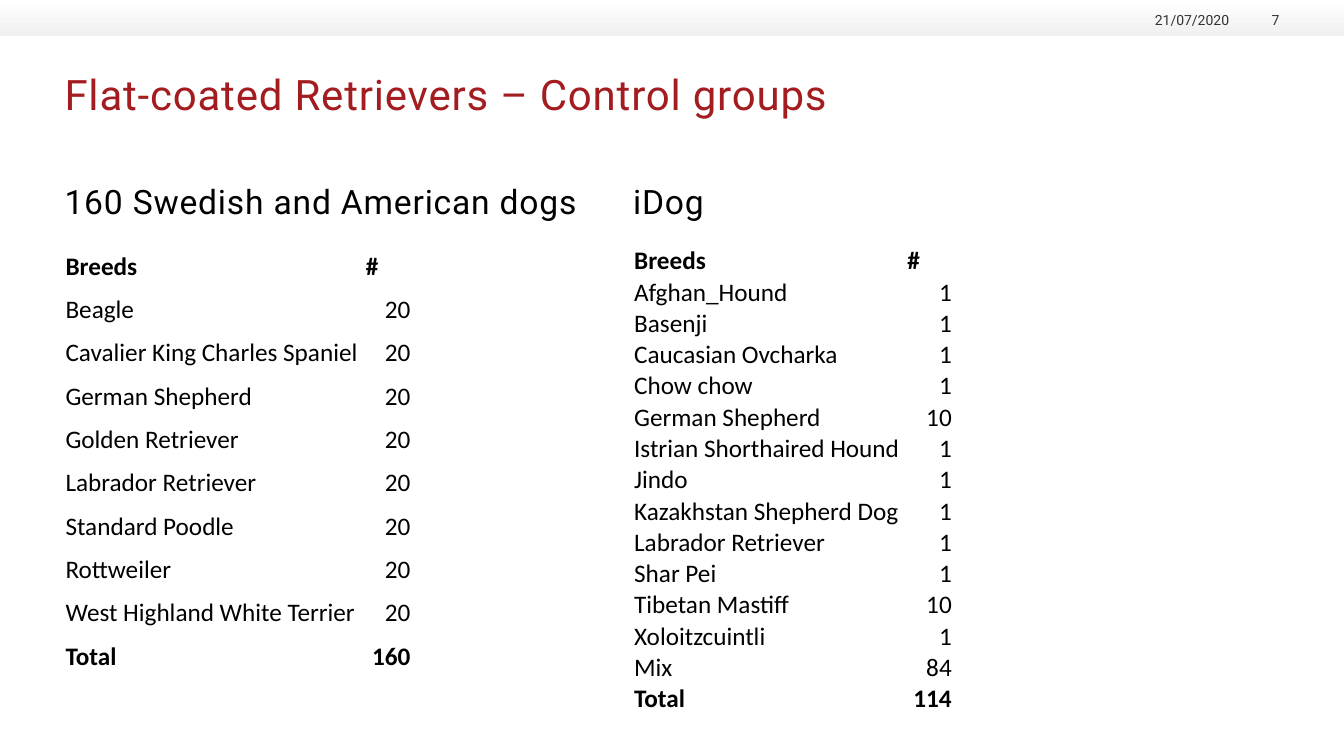
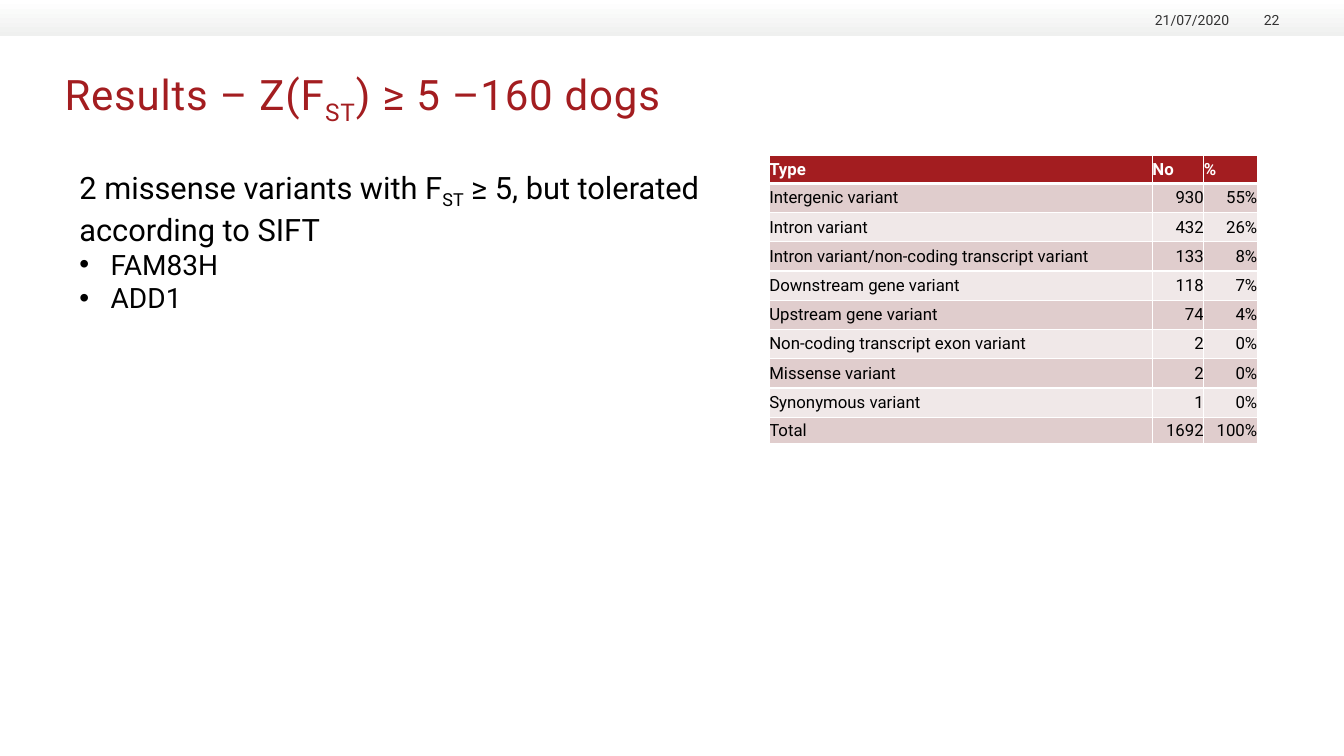
from dataclasses import dataclass, field

from lxml import etree
from pptx import Presentation
from pptx.dml.color import RGBColor
from pptx.enum.shapes import MSO_SHAPE
from pptx.enum.text import MSO_ANCHOR, PP_ALIGN
from pptx.oxml.ns import qn
from pptx.util import Inches, Pt

LEFT, RIGHT = PP_ALIGN.LEFT, PP_ALIGN.RIGHT
TOP, MIDDLE, BOTTOM = MSO_ANCHOR.TOP, MSO_ANCHOR.MIDDLE, MSO_ANCHOR.BOTTOM
RECTANGLE = MSO_SHAPE.RECTANGLE

COLOURS = {
    "red": "A31D20",
    "black": "000000",
    "white": "FFFFFF",
    "grey": "333333",
    "band": "EFF0EF",
    "row_dark": "E0CDCD",
    "row_light": "F0E8E8",
}
SLIDE_WIDTH, SLIDE_HEIGHT = 13.33, 7.5
MARGIN = 0.64
DATE = "21/07/2020"


@dataclass(frozen=True)
class Style:
    size: float
    colour: str = "black"
    font: str = "Roboto"
    bold: bool = False
    spacing: float = 0


@dataclass(frozen=True)
class Span:
    text: str
    subscript: bool = False


@dataclass(frozen=True)
class Line:
    spans: list[Span]
    style: Style
    align: PP_ALIGN = LEFT
    bullet: bool = False


@dataclass(frozen=True)
class Grid:
    """A table whose first column is text and whose others are numbers."""
    left: float
    top: float
    columns: list[float]
    heights: list[float]
    rows: list[tuple[str, ...]]
    header: Style
    body: Style
    total: Style
    anchor: MSO_ANCHOR
    insets: tuple[float, float, float, float] = (0, 0, 0, 0)
    line_spacing: float = 1.0
    header_fill: str = ""
    bands: list[str] = field(default_factory=list)


TITLE = Style(30, "red", spacing=0.6)
HEADING = Style(24, spacing=0.6)
FOOTER = Style(10, "grey")
LEAD = Style(22)
ITEM = Style(20)
BREED = Style(18, font="Calibri")
BREED_BOLD = Style(18, font="Calibri", bold=True)
VARIANT = Style(12)
VARIANT_HEADER = Style(12, "white", bold=True)

SWEDISH_BREEDS = [
    "Beagle", "Cavalier King Charles Spaniel", "German Shepherd",
    "Golden Retriever", "Labrador Retriever", "Standard Poodle",
    "Rottweiler", "West Highland White Terrier",
]
SWEDISH_ROWS = [
    ("Breeds", "#"),
    *[(breed, "20") for breed in SWEDISH_BREEDS],
    ("Total", "160"),
]
IDOG_ROWS = [
    ("Breeds", "#"),
    ("Afghan_Hound", "1"),
    ("Basenji", "1"),
    ("Caucasian Ovcharka", "1"),
    ("Chow chow", "1"),
    ("German Shepherd", "10"),
    ("Istrian Shorthaired Hound", "1"),
    ("Jindo", "1"),
    ("Kazakhstan Shepherd Dog", "1"),
    ("Labrador Retriever", "1"),
    ("Shar Pei", "1"),
    ("Tibetan Mastiff", "10"),
    ("Xoloitzcuintli", "1"),
    ("Mix", "84"),
    ("Total", "114"),
]
VARIANT_ROWS = [
    ("Type", "No", "%"),
    ("Intergenic variant", "930", "55%"),
    ("Intron variant", "432", "26%"),
    ("Intron variant/non-coding transcript variant", "133", "8%"),
    ("Downstream gene variant", "118", "7%"),
    ("Upstream gene variant", "74", "4%"),
    ("Non-coding transcript exon variant", "2", "0%"),
    ("Missense variant", "2", "0%"),
    ("Synonymous variant", "1", "0%"),
    ("Total", "1692", "100%"),
]


def colour(name: str) -> RGBColor:
    return RGBColor.from_string(COLOURS[name])


# Text
def add_span(para, span: Span, style: Style) -> None:
    run = para.add_run()
    run.text = span.text
    run.font.name = style.font
    run.font.size = Pt(style.size)
    run.font.bold = style.bold
    run.font.color.rgb = colour(style.colour)
    properties = run._r.get_or_add_rPr()
    if style.spacing:
        properties.set("spc", str(round(style.spacing * 100)))
    if span.subscript:
        properties.set("baseline", "-25000")


def add_bullet(para, indent: float) -> None:
    properties = para._p.get_or_add_pPr()
    properties.set("marL", str(Inches(indent)))
    properties.set("indent", str(-Inches(indent)))
    etree.SubElement(properties, qn("a:buFont"), typeface="Arial")
    etree.SubElement(properties, qn("a:buChar"), char="•")


def add_text(page, left: float, top: float, width: float, height: float,
             lines: list[Line], anchor: MSO_ANCHOR = TOP,
             insets: tuple[float, float] = (0, 0)) -> None:
    box = page.shapes.add_textbox(
        Inches(left), Inches(top), Inches(width), Inches(height))
    frame = box.text_frame
    frame.word_wrap = True
    frame.vertical_anchor = anchor
    frame.margin_left = frame.margin_right = Inches(insets[0])
    frame.margin_top = frame.margin_bottom = Inches(insets[1])
    for index, line in enumerate(lines):
        para = frame.add_paragraph() if index else frame.paragraphs[0]
        para.alignment = line.align
        if line.bullet:
            add_bullet(para, 0.31)
        for span in line.spans:
            add_span(para, span, line.style)


# Tables
def add_borders(cell, top: float, bottom: float) -> None:
    properties = cell._tc.get_or_add_tcPr()
    widths = {"a:lnL": 1, "a:lnR": 1, "a:lnT": top, "a:lnB": bottom}
    for tag, width in widths.items():
        border = etree.SubElement(properties, qn(tag), w=str(Pt(width)))
        fill = etree.SubElement(border, qn("a:solidFill"))
        etree.SubElement(fill, qn("a:srgbClr"), val=COLOURS["white"])


def fill_cell(cell, grid: Grid, row: int) -> None:
    if not grid.bands:
        cell.fill.background()
        return
    add_borders(cell, top=3 if row == 1 else 1, bottom=1 if row else 3)
    name = grid.bands[(row - 1) % len(grid.bands)] if row else grid.header_fill
    cell.fill.solid()
    cell.fill.fore_color.rgb = colour(name)


def add_grid(page, grid: Grid) -> None:
    table = page.shapes.add_table(
        len(grid.rows), len(grid.columns), Inches(grid.left), Inches(grid.top),
        Inches(sum(grid.columns)), Inches(sum(grid.heights))).table
    table.first_row = table.horz_banding = False
    for column, width in zip(table.columns, grid.columns):
        column.width = Inches(width)
    for table_row, height in zip(table.rows, grid.heights):
        table_row.height = Inches(height)
    styles = [grid.header, *[grid.body] * (len(grid.rows) - 2), grid.total]
    for row, (values, style) in enumerate(zip(grid.rows, styles)):
        for column, value in enumerate(values):
            cell = table.cell(row, column)
            (cell.margin_left, cell.margin_top, cell.margin_right,
             cell.margin_bottom) = map(Inches, grid.insets)
            cell.vertical_anchor = grid.anchor
            fill_cell(cell, grid, row)
            para = cell.text_frame.paragraphs[0]
            para.alignment = RIGHT if row and column else LEFT
            para.line_spacing = grid.line_spacing
            add_span(para, Span(value), style)


def breed_grid(left: float, columns: list[float], rows: list[tuple[str, ...]],
               header_height: float, line_spacing: float) -> Grid:
    heights = [header_height, *[0.22] * (len(rows) - 1)]
    return Grid(left, 2.36, columns, heights, rows, BREED_BOLD, BREED,
                BREED_BOLD, BOTTOM, (0.01, 0.01, 0.01, 0), line_spacing)


# Parts shared by the slides
def add_page(deck, title: list[Span], number: int):
    page = deck.slides.add_slide(deck.slide_layouts[6])
    band = page.shapes.add_shape(
        RECTANGLE, Inches(0), Inches(0), Inches(SLIDE_WIDTH), Inches(0.36))
    band.shadow.inherit = False
    band.line.fill.background()
    band.fill.gradient()
    band.fill.gradient_angle = 270
    for stop, name, position in zip(
            band.fill.gradient_stops, ("white", "band"), (0, 1)):
        stop.color.rgb = colour(name)
        stop.position = position
    add_text(page, MARGIN, 0.68, 12.04, 0.95, [Line(title, TITLE)])
    for left, width, text in ((11.3, 0.89, DATE), (12.27, 0.42, str(number))):
        add_text(page, left, 0.09, width, 0.19,
                 [Line([Span(text)], FOOTER, RIGHT)], BOTTOM)
    return page


# Slides
def add_control_groups(deck) -> None:
    page = add_page(deck, [Span("Flat-coated Retrievers – Control groups")], 7)
    groups = [
        ("160 Swedish and American dogs", 5.22,
         breed_grid(MARGIN, [2.98, 0.46], SWEDISH_ROWS, 0.22, 1.4)),
        ("iDog", 4.81, breed_grid(6.28, [2.71, 0.46], IDOG_ROWS, 0.38, 1.0)),
    ]
    for heading, width, grid in groups:
        add_text(page, grid.left, 1.79, width, 5.11,
                 [Line([Span(heading)], HEADING)])
        add_grid(page, grid)


def add_results(deck) -> None:
    subscript = Span("ST", subscript=True)
    page = add_page(
        deck, [Span("Results – Z(F"), subscript, Span(") ≥ 5 –160 dogs")], 22)
    lead = [Span("2 missense variants with F"), subscript,
            Span(" ≥ 5, but tolerated according to SIFT")]
    genes = [Line([Span(gene)], ITEM, bullet=True)
             for gene in ("FAM83H", "ADD1")]
    add_text(page, 0.69, 1.62, 7.47, 1.51, [Line(lead, LEAD), *genes],
             insets=(0.1, 0.05))
    add_grid(page, Grid(
        7.63, 1.54, [3.8, 0.51, 0.53], [0.28, *[0.29] * 8, 0.26],
        VARIANT_ROWS, VARIANT_HEADER, VARIANT, VARIANT, MIDDLE,
        header_fill="red", bands=["row_dark", "row_light"]))


def main() -> None:
    deck = Presentation()
    deck.slide_width = Inches(SLIDE_WIDTH)
    deck.slide_height = Inches(SLIDE_HEIGHT)
    add_control_groups(deck)
    add_results(deck)
    deck.save("out.pptx")


if __name__ == "__main__":
    main()
